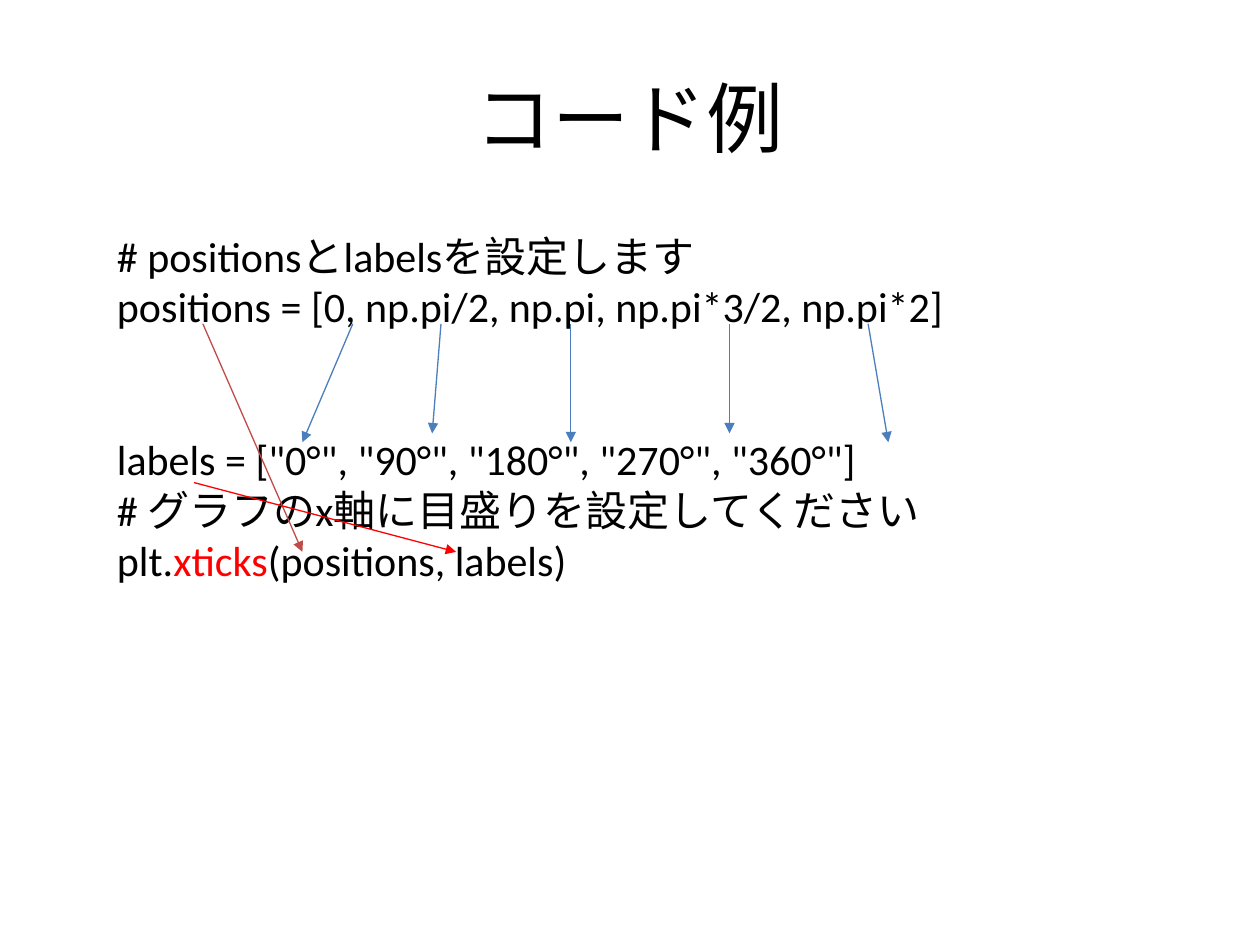
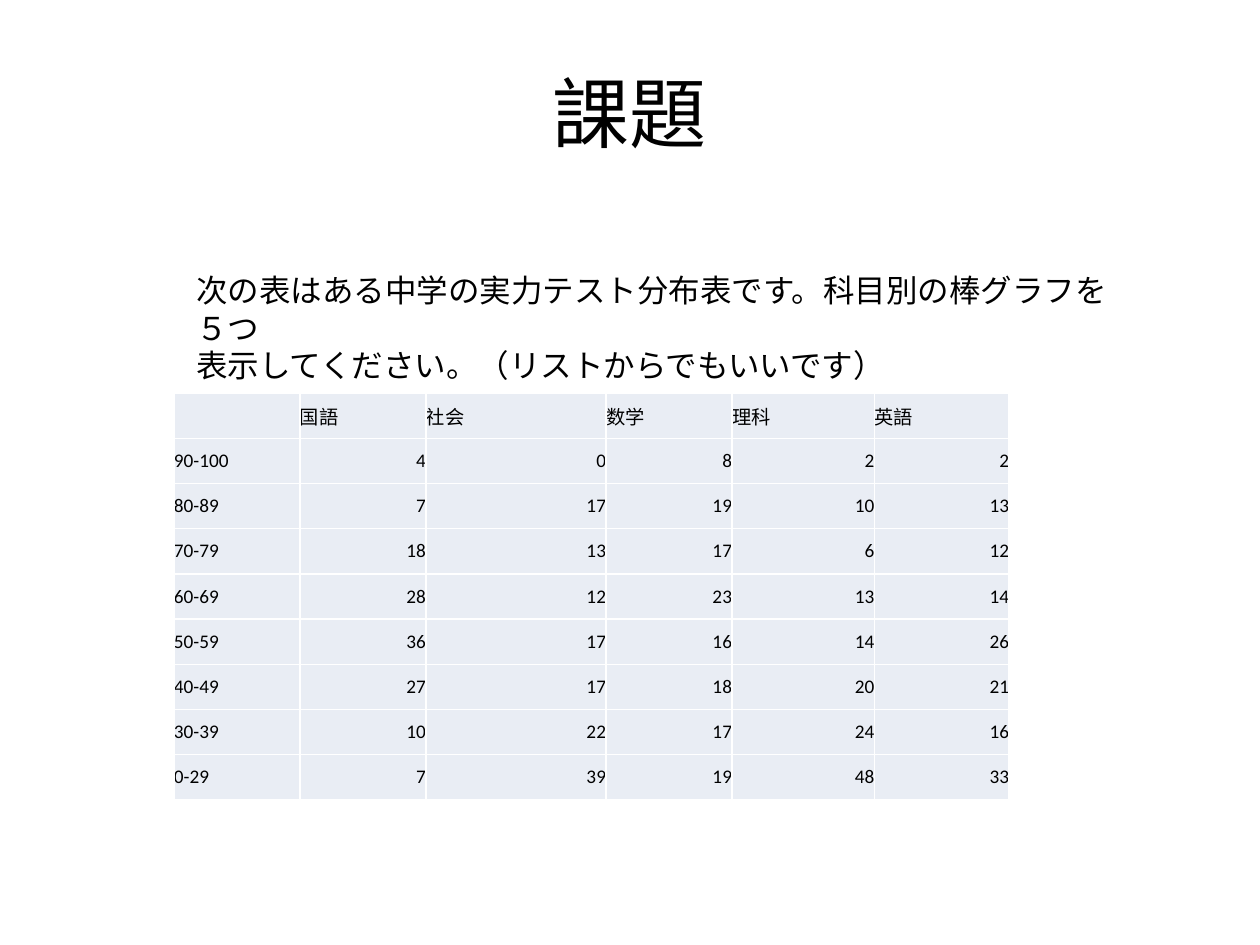
import pptx
import pptx.util
import pptx.dml.color
import pptx.enum.shapes
import pptx.enum.text
from lxml import etree
from pptx.oxml.ns import qn

Inches = pptx.util.Inches
Pt = pptx.util.Pt
RGBColor = pptx.dml.color.RGBColor
ALIGN = pptx.enum.text.PP_ALIGN
MIDDLE = pptx.enum.text.MSO_ANCHOR.MIDDLE

# Shared look
FONT = "Calibri"
BLACK = RGBColor(0x00, 0x00, 0x00)
RED = RGBColor(0xFF, 0x00, 0x00)
BLUE = RGBColor(0x4B, 0x7E, 0xBC)
BRICK = RGBColor(0xBF, 0x4C, 0x48)
PALE_BLUE = RGBColor(0xE9, 0xED, 0xF4)
TITLE_ONLY = 5

# Code example: each line is a list of (text, colour), with points of space before it
CODE_TITLE = "コード例"
CODE_LINES = [
    (0, [("# positionsとlabelsを設定します", BLACK)]),
    (0, [("positions = [0, np.pi/2, np.pi, np.pi*3/2, np.pi*2]", BLACK)]),
    (58.5, [('labels = ["0°", "90°", "180°", "270°", "360°"]', BLACK)]),
    (0, [("# グラフのx軸に目盛りを設定してください", BLACK)]),
    (0, [("plt.", BLACK), ("xticks", RED), ("(positions, labels)", BLACK)]),
]
POSITIONS_Y, LABELS_Y, XTICKS_Y = 2.57, 3.83, 4.38
# Each position points down to its label: from x, to x, to y
LABEL_ARROWS = [
    (2.8, 2.4, 3.51),
    (3.5, 3.43, 3.44),
    (4.53, 4.53, 3.51),
    (5.79, 5.79, 3.44),
    (6.89, 7.05, 3.51),
]
# Each list points to its argument: from, to, colour
ARGUMENT_ARROWS = [
    ((1.61, POSITIONS_Y), (2.4, XTICKS_Y), BRICK),
    ((1.54, LABELS_Y), (3.62, XTICKS_Y), RED),
]

# Exercise
EXERCISE_TITLE = "課題"
EXERCISE_LINES = [
    "次の表はある中学の実力テスト分布表です。科目別の棒グラフを５つ",
    "表示してください。（リストからでもいいです）",
]
SUBJECTS = ["国語", "社会", "数学", "理科", "英語"]
SCORES = {
    "90-100": (4, 0, 8, 2, 2),
    "80-89": (7, 17, 19, 10, 13),
    "70-79": (18, 13, 17, 6, 12),
    "60-69": (28, 12, 23, 13, 14),
    "50-59": (36, 17, 16, 14, 26),
    "40-49": (27, 17, 18, 20, 21),
    "30-39": (10, 22, 17, 24, 16),
    "0-29": (7, 39, 19, 48, 33),
}
COLUMN_WIDTHS = [1, 1, 1.43, 1, 1.13, 1.07]
TABLE_HEIGHT = 3.23


def style(run, size, color=BLACK):
    run.font.name = FONT
    run.font.size = Pt(size)
    run.font.color.rgb = color


def add_titled_slide(deck, text, height):
    slide = deck.slides.add_slide(deck.slide_layouts[TITLE_ONLY])
    title = slide.shapes.title
    title.left, title.top = Inches(0.5), Inches(0.3)
    title.width, title.height = Inches(9), Inches(height)
    title.text_frame.text = text
    style(title.text_frame.paragraphs[0].runs[0], 44)
    return slide


def add_lines(slide, box, lines, size):
    """Write (space before, coloured pieces) lines into a wrapping text box."""
    frame = slide.shapes.add_textbox(*map(Inches, box)).text_frame
    frame.word_wrap = True
    for number, (space, pieces) in enumerate(lines):
        paragraph = frame.add_paragraph() if number else frame.paragraphs[0]
        paragraph.space_before = Pt(space)
        for text, color in pieces:
            run = paragraph.add_run()
            run.text = text
            style(run, size, color)


def add_arrow(slide, start, end, color):
    arrow = slide.shapes.add_connector(
        pptx.enum.shapes.MSO_CONNECTOR.STRAIGHT, *map(Inches, start + end))
    arrow.line.color.rgb = color
    arrow.line.width = Pt(0.75)
    outline = arrow.line._get_or_add_ln()
    etree.SubElement(outline, qn("a:tailEnd"), type="triangle")
    etree.SubElement(arrow._element.spPr, qn("a:effectLst"))


def add_score_table(slide):
    rows = [["", *SUBJECTS]] + [[band, *counts] for band, counts in SCORES.items()]
    table = slide.shapes.add_table(
        len(rows), len(COLUMN_WIDTHS), Inches(1.38), Inches(3.12),
        Inches(sum(COLUMN_WIDTHS)), Inches(TABLE_HEIGHT)).table
    table.first_row = table.horz_banding = False
    for column, width in zip(table.columns, COLUMN_WIDTHS):
        column.width = Inches(width)
    for r, row in enumerate(rows):
        for c, value in enumerate(row):
            cell = table.cell(r, c)
            cell.fill.solid()
            cell.fill.fore_color.rgb = PALE_BLUE
            cell.margin_left = cell.margin_right = 0
            cell.margin_top = cell.margin_bottom = 0
            cell.vertical_anchor = MIDDLE
            cell.text_frame.text = str(value)
            paragraph = cell.text_frame.paragraphs[0]
            paragraph.alignment = ALIGN.RIGHT if r and c else ALIGN.LEFT
            for run in paragraph.runs:
                style(run, 11)


def main():
    deck = pptx.Presentation()
    deck.slide_width, deck.slide_height = Inches(10), Inches(7.5)

    # Code example with arrows
    code = add_titled_slide(deck, CODE_TITLE, 1.25)
    add_lines(code, (0.83, 1.78, 8.03, 2.93), CODE_LINES, 24)
    for from_x, to_x, to_y in LABEL_ARROWS:
        add_arrow(code, (from_x, POSITIONS_Y), (to_x, to_y), BLUE)
    for start, end, color in ARGUMENT_ARROWS:
        add_arrow(code, start, end, color)

    # Exercise with score table
    exercise = add_titled_slide(deck, EXERCISE_TITLE, 1.17)
    add_score_table(exercise)
    add_lines(exercise, (1.46, 2.1, 7.48, 0.71),
              [(0, [(line, BLACK)]) for line in EXERCISE_LINES], 18)

    deck.save("out.pptx")


if __name__ == "__main__":
    main()
